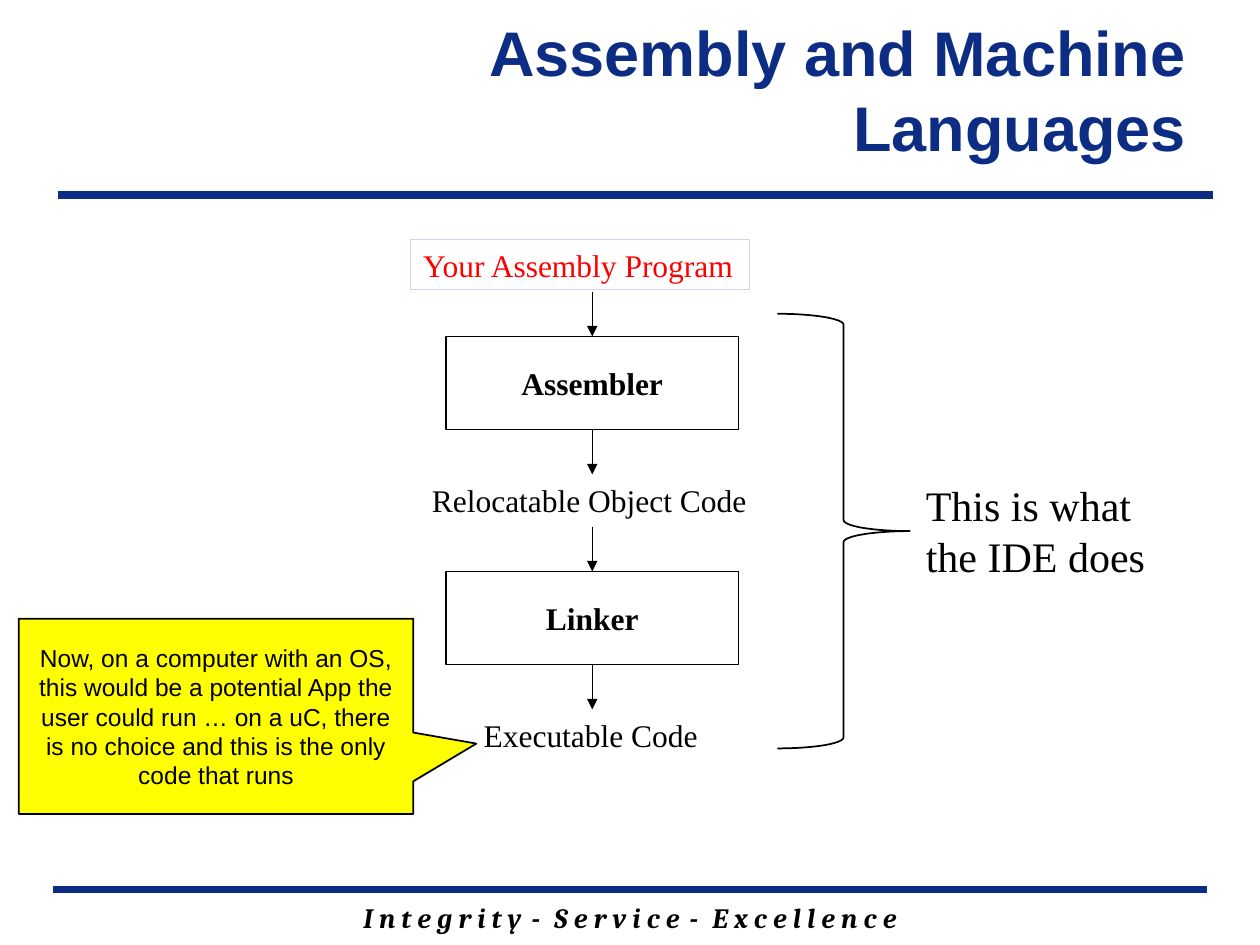
from lxml.etree import SubElement
from pptx import Presentation
from pptx.dml.color import RGBColor
from pptx.enum.shapes import MSO_CONNECTOR, MSO_SHAPE
from pptx.enum.text import MSO_ANCHOR, PP_ALIGN
from pptx.oxml.ns import qn
from pptx.util import Inches, Pt

WIDE, HIGH = 10, 7.5
COLS, ROWS = 100, 75
NAVY, BLACK, RED = "0C2D83", "000000", "FF0000"
SERIF, SANS = "Times New Roman", "Arial"


def color(code):
    return RGBColor.from_string(code)


def col(n):
    return Inches(n * WIDE / COLS)


def row(n):
    return Inches(n * HIGH / ROWS)


def place(box):
    x, y, w, h = box
    return col(x), row(y), col(w), row(h)


def write(shape, text, size, font=SERIF, ink=BLACK, bold=False,
          align=PP_ALIGN.LEFT, anchor=MSO_ANCHOR.TOP, wrap=True):
    frame = shape.text_frame
    frame.word_wrap = wrap
    frame.vertical_anchor = anchor
    para = frame.paragraphs[0]
    para.alignment = align
    return add_run(para, text, size, font, ink, bold)


def add_run(para, text, size, font, ink=BLACK, bold=False):
    run = para.add_run()
    run.text = text
    run.font.size = Pt(size)
    run.font.name = font
    run.font.bold = bold
    run.font.color.rgb = color(ink)
    return run


def label(slide, box, text, size, **style):
    write(slide.shapes.add_textbox(*place(box)), text, size, **style)


def shape(slide, kind, box, edge=BLACK, width=0.75, fill=None):
    item = slide.shapes.add_shape(kind, *place(box))
    item.shadow.inherit = False
    if fill:
        item.fill.solid()
        item.fill.fore_color.rgb = color(fill)
    else:
        item.fill.background()
    item.line.color.rgb = color(edge)
    item.line.width = Pt(width)
    return item


def line(slide, x1, y1, x2, y2, ink=BLACK, width=0.75, head=False):
    item = slide.shapes.add_connector(
        MSO_CONNECTOR.STRAIGHT, col(x1), row(y1), col(x2), row(y2))
    item.line.color.rgb = color(ink)
    item.line.width = Pt(width)
    if head:
        SubElement(item.line._get_or_add_ln(), qn("a:tailEnd"), type="triangle")
    SubElement(item._element.spPr, qn("a:effectLst"))
    return item


def header(slide, box):
    x, y, w, h = box
    label(slide, (x + 16.3, y, 74.2, 12.5), "Assembly and Machine Languages", 36,
          font=SANS, ink=NAVY, bold=True, align=PP_ALIGN.RIGHT,
          anchor=MSO_ANCHOR.MIDDLE)
    line(slide, x, y + h, x + w, y + h, NAVY, 4.5)


def footer(slide, box):
    x, y, w, h = box
    line(slide, x, y, x + w, y, NAVY, 4.5)
    area = slide.shapes.add_textbox(*place((x + 10, y + 0.4, w - 20, h - 0.4)))
    area.text_frame.word_wrap = True
    para = area.text_frame.paragraphs[0]
    para.alignment = PP_ALIGN.CENTER
    for i, word in enumerate(("Integrity", "Service", "Excellence")):
        if i:
            dash = add_run(para, " - ", 16, "Cambria", bold=True)
            dash.font.italic = True
            dash.font._element.set("spc", "230")
        add_run(para, " ".join(word), 16, "Cambria", bold=True).font.italic = True


def step(slide, box, name):
    """Draw a tool box with an arrow into it and an arrow out of it."""
    x, y, w, h = box
    gap, mid = 3.55, x + w / 2
    tool = shape(slide, MSO_SHAPE.RECTANGLE, box)
    write(tool, name, 18, bold=True, align=PP_ALIGN.CENTER,
          anchor=MSO_ANCHOR.MIDDLE, wrap=False)
    line(slide, mid, y - gap, mid, y, head=True).end_connect(tool, 0)
    line(slide, mid, y + h, mid, y + h + gap, head=True).begin_connect(tool, 2)


def flow(slide, box):
    x, y, w, h = box
    pitch = (h - 4) / 2
    start = shape(slide, MSO_SHAPE.RECTANGLE, (x, y, 26.9, 4), "D2D2F4")
    write(start, "Your Assembly Program", 18, ink=RED, wrap=False)
    for i, name in enumerate(("Assembler", "Linker")):
        step(slide, (x + 2.8, y + 7.7 + i * pitch, 23.2, 7.4), name)
    label(slide, (x + 0.7, y + pitch, 27.3, 4), "Relocatable Object Code", 18,
          wrap=False)
    label(slide, (x + 4.8, y + 2 * pitch, 19.2, 4), "Executable Code", 18,
          wrap=False)


def scope(slide, box):
    x, y, w, h = box
    shape(slide, MSO_SHAPE.RIGHT_BRACE, (x, y, 10.5, h), width=1)
    label(slide, (x + 10.8, y + 12.7, w - 10.8, 9.1),
          "This is what the IDE does", 24)


def remark(slide, box):
    note = shape(slide, MSO_SHAPE.RECTANGULAR_CALLOUT, box, width=1, fill="FFFF00")
    note.adjustments[0] = 0.66
    note.adjustments[1] = 0.14
    write(note, "Now, on a computer with an OS, this would be a potential App "
          "the user could run … on a uC, there is no choice and this is the "
          "only code that runs", 14, font=SANS, align=PP_ALIGN.CENTER,
          anchor=MSO_ANCHOR.MIDDLE)


def main():
    deck = Presentation()
    deck.slide_width, deck.slide_height = Inches(WIDE), Inches(HIGH)
    slide = deck.slides.add_slide(deck.slide_layouts[6])
    footer(slide, (4.2, 70.6, 91.6, 4.1))
    header(slide, (4.6, 0.8, 91.7, 14.7))
    flow(slide, (32.6, 19, 28, 41.3))
    scope(slide, (61.7, 24.9, 33.4, 34.5))
    remark(slide, (1.5, 49.1, 31.3, 15.5))
    deck.save("out.pptx")


if __name__ == "__main__":
    main()
